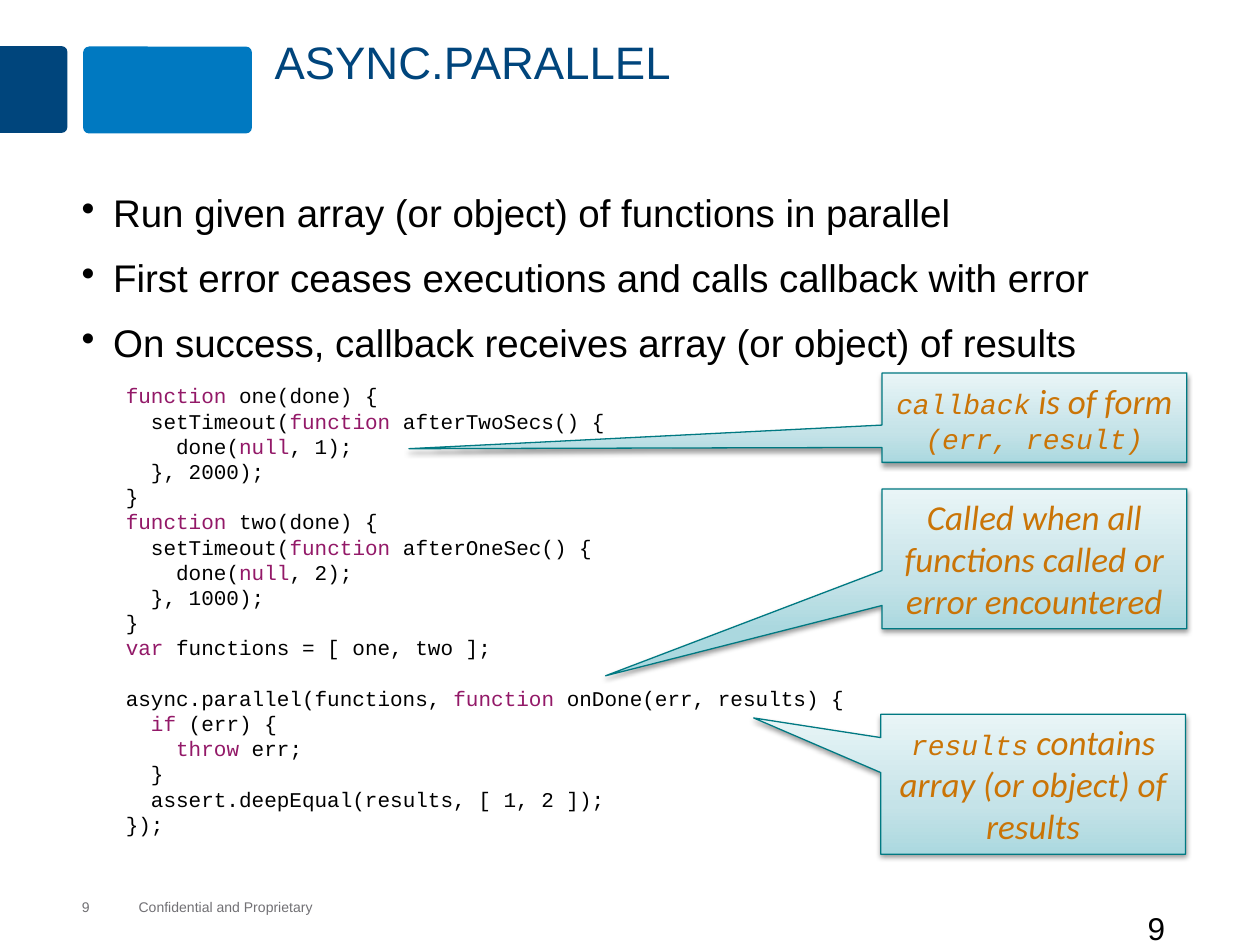
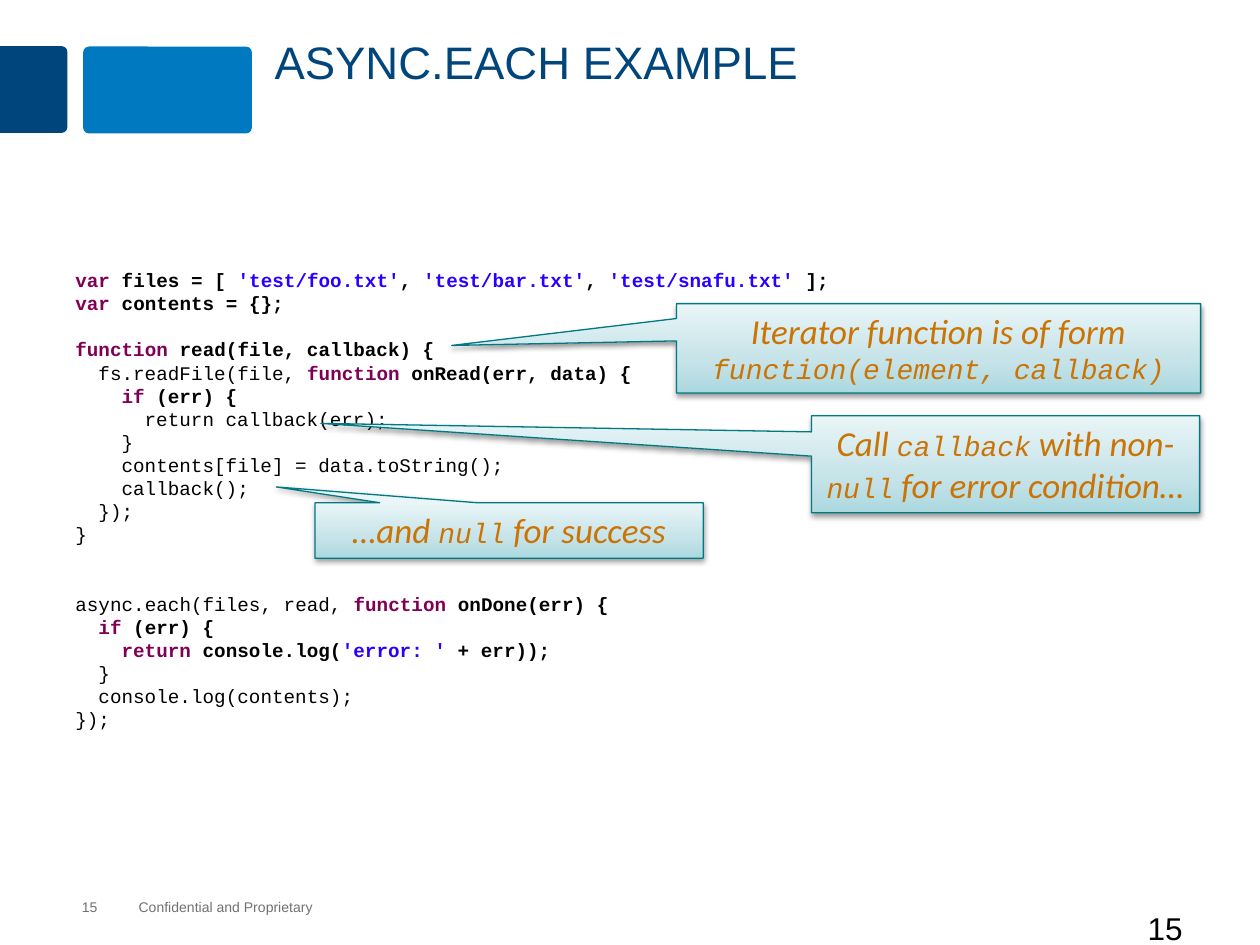
from pptx import Presentation
from pptx.dml.color import RGBColor
from pptx.enum.shapes import MSO_SHAPE
from pptx.enum.text import MSO_ANCHOR, PP_ALIGN
from pptx.oxml import parse_xml
from pptx.oxml.ns import nsdecls
from pptx.util import Pt

NAVY, BLUE, TEAL, ORANGE = "00457C", "0079C1", "007982", "CA7406"
BLACK, GRAY, STRING_BLUE = "000000", "717074", "2A00FF"
GRADIENT = [(0, "ABD8DF"), (35, "C5E3E8"), (100, "E9F5F7")]
LINE_HEIGHT = 1.2       # of the code size
CHARACTER_WIDTH = 0.6   # of the code size

# In code, bars enclose keywords and strings; in callouts, monospaced words.
PARALLEL_CODE = """\
|function| one(done) {
  setTimeout(|function |afterTwoSecs() {
    done(|null|, 1);
  }, 2000);
}
|function| two(done) {
  setTimeout(|function |afterOneSec() {
    done(|null|, 2);
  }, 1000);
}
|var| functions = [ one, two ];

async.parallel(functions, |function |onDone(err, results) {
  |if| (err) {
    |throw| err;
  }
  assert.deepEqual(results, [ 1, 2 ]);
});"""

EACH_CODE = """\
|var| files = [ |'test/foo.txt'|, |'test/bar.txt'|, |'test/snafu.txt'| ];
|var| contents = {};

|function| read(file, callback) {
  fs.readFile(file, |function |onRead(err, data) {
    |if| (err) {
      return callback(err);
    }
    contents[file] = data.toString();
    callback();
  });
}


async.each(files, read, |function |onDone(err) {
  |if| (err) {
    |return |console.log(|'error: '| + err));
  }
  console.log(contents);
});"""

SLIDES = [
    {
        "title": "ASYNC.PARALLEL",
        "number": "9",
        "bullets": [
            "Run given array (or object) of functions in parallel",
            "First error ceases executions and calls callback with error",
            "On success, callback receives array (or object) of results",
        ],
        "code": PARALLEL_CODE,
        "code_box": (64.8, 215.3, 429, 269),
        "code_size": 12,
        "keyword_color": "931968",
        "bold": False,
        # text, box, tip offset from the centre in box widths and heights
        "callouts": [
            ("|callback| is of form |(err, result)|", (504, 213.1, 174.2, 51.1), (-2.052, 0.347)),
            ("Called when all functions called or error encountered",
             (504, 279.4, 174.2, 79.9), (-1.407, 0.836)),
            ("|results| contains array (or object) of results",
             (503.3, 408.2, 174.2, 79.9), (-0.917, -0.474)),
        ],
    },
    {
        "title": "ASYNC.EACH EXAMPLE",
        "number": "15",
        "bullets": [],
        "code": EACH_CODE,
        "code_box": (36, 149.8, 448, 273.6),
        "code_size": 11,
        "keyword_color": "7F0055",
        "bold": True,
        "callouts": [
            ("Call |callback| with non-|null| for error condition…",
             (463.7, 237.6, 221.8, 55.4), (-1.764, -0.421)),
            ("…and |null| for success", (180, 287.3, 221.8, 31.7), (-0.6, -0.785)),
            ("Iterator function is of form |function(element, callback)|",
             (386.6, 173.5, 299.5, 51.1), (-0.929, -0.032)),
        ],
    },
]


def rgb(color):
    return RGBColor.from_string(color)


def add_text(slide, box, text, size, color, inset=True):
    """Add a wrapping text box and return its text frame."""
    frame = slide.shapes.add_textbox(*map(Pt, box)).text_frame
    frame.word_wrap = True
    if not inset:
        frame.margin_left = frame.margin_right = frame.margin_top = frame.margin_bottom = 0
        frame.vertical_anchor = MSO_ANCHOR.MIDDLE
    frame.text = text
    for paragraph in frame.paragraphs:
        paragraph.font.name = "Arial"
        paragraph.font.size = Pt(size)
        paragraph.font.color.rgb = rgb(color)
    return frame


presentation = Presentation()
presentation.slide_width = Pt(720)
presentation.slide_height = Pt(540)

for content in SLIDES:
    slide = presentation.slides.add_slide(presentation.slide_layouts[6])

    # Header blocks
    for preset, box, rotation, rounding, color in [
        (MSO_SHAPE.ROUND_2_SAME_RECTANGLE, (-5.76, 31.7, 49.7, 38.9), 90, 0.09, NAVY),
        (MSO_SHAPE.ROUNDED_RECTANGLE, (47.5, 26.6, 96.5, 49.7), 0, 0.07, BLUE),
    ]:
        block = slide.shapes.add_shape(preset, *map(Pt, box))
        block.rotation = rotation
        block.adjustments[0] = rounding
        block.fill.solid()
        block.fill.fore_color.rgb = rgb(color)
        block.line.fill.background()
        block.shadow.inherit = False

    # Footer
    add_text(slide, (79.2, 513.4, 110, 9.4), "Confidential and Proprietary", 8, GRAY, inset=False)
    add_text(slide, (46.8, 513.4, 30, 9.4), content["number"], 8, GRAY, inset=False)
    add_text(slide, (648.7, 516.2, 71.3, 36), content["number"], 18, BLACK)

    # Title
    title = add_text(slide, (149.8, 18, 552.2, 65.5), content["title"], 26, NAVY)
    title.paragraphs[0].line_spacing = 0.95

    # Bullets
    if content["bullets"]:
        body = add_text(slide, (39.6, 106.6, 638.6, 379.4), "\n".join(content["bullets"]), 22, BLACK)
        for paragraph in body.paragraphs:
            paragraph.line_spacing = 0.95
            paragraph.space_before = Pt(12)
            properties = paragraph._p.get_or_add_pPr()
            properties.set("marL", str(Pt(18)))
            properties.set("indent", str(Pt(-18)))
            properties.insert_element_before(
                parse_xml(f'<a:buChar {nsdecls("a")} char="•"/>'), "a:tabLst", "a:defRPr", "a:extLst")

    # Code: empty lines become space before, leading blanks become a left margin
    size = content["code_size"]
    frame = slide.shapes.add_textbox(*map(Pt, content["code_box"])).text_frame
    frame.word_wrap = True
    paragraph = frame.paragraphs[0]
    empty_lines = 0
    for number, line in enumerate(content["code"].split("\n")):
        if not line:
            empty_lines += 1
            continue
        if number:
            paragraph = frame.add_paragraph()
        paragraph.font.name = "Courier New"
        paragraph.font.size = Pt(size)
        paragraph.space_before = Pt(empty_lines * LINE_HEIGHT * size)
        empty_lines = 0
        statement = line.lstrip()
        margin = Pt((len(line) - len(statement)) * CHARACTER_WIDTH * size)
        paragraph._p.get_or_add_pPr().set("marL", str(margin))
        for index, part in enumerate(statement.split("|")):
            if not part:
                continue
            run = paragraph.add_run()
            run.text = part
            run.font.bold = content["bold"] and index > 0
            marked_color = STRING_BLUE if part.startswith("'") else content["keyword_color"]
            run.font.color.rgb = rgb(marked_color if index % 2 else BLACK)

    # Callouts
    for text, box, tip in content["callouts"]:
        callout = slide.shapes.add_shape(MSO_SHAPE.RECTANGULAR_CALLOUT, *map(Pt, box))
        callout.adjustments[0], callout.adjustments[1] = tip
        stops = "".join(
            f'<a:gs pos="{position * 1000}"><a:srgbClr val="{color}"/></a:gs>'
            for position, color in GRADIENT)
        callout._element.spPr.insert(2, parse_xml(
            f'<a:gradFill {nsdecls("a")} rotWithShape="1"><a:gsLst>{stops}</a:gsLst>'
            '<a:lin ang="16200000" scaled="0"/></a:gradFill>'))
        callout.line.color.rgb = rgb(TEAL)
        callout.line.width = Pt(0.75)
        callout.shadow.inherit = False
        callout._element.spPr.effectLst.append(parse_xml(
            f'<a:outerShdw {nsdecls("a")} blurRad="{Pt(3.1)}" dist="{Pt(1.6)}" dir="5400000" '
            'rotWithShape="0"><a:srgbClr val="000000"><a:alpha val="38000"/></a:srgbClr></a:outerShdw>'))
        frame = callout.text_frame
        frame.word_wrap = True
        frame.vertical_anchor = MSO_ANCHOR.TOP
        paragraph = frame.paragraphs[0]
        paragraph.alignment = PP_ALIGN.CENTER
        paragraph.font.italic = True
        for index, part in enumerate(text.split("|")):
            if not part:
                continue
            run = paragraph.add_run()
            run.text = part
            run.font.name, run.font.size = ("Courier New", Pt(16)) if index % 2 else ("Calibri", Pt(20))
            run.font.color.rgb = rgb(ORANGE)

presentation.save("out.pptx")
